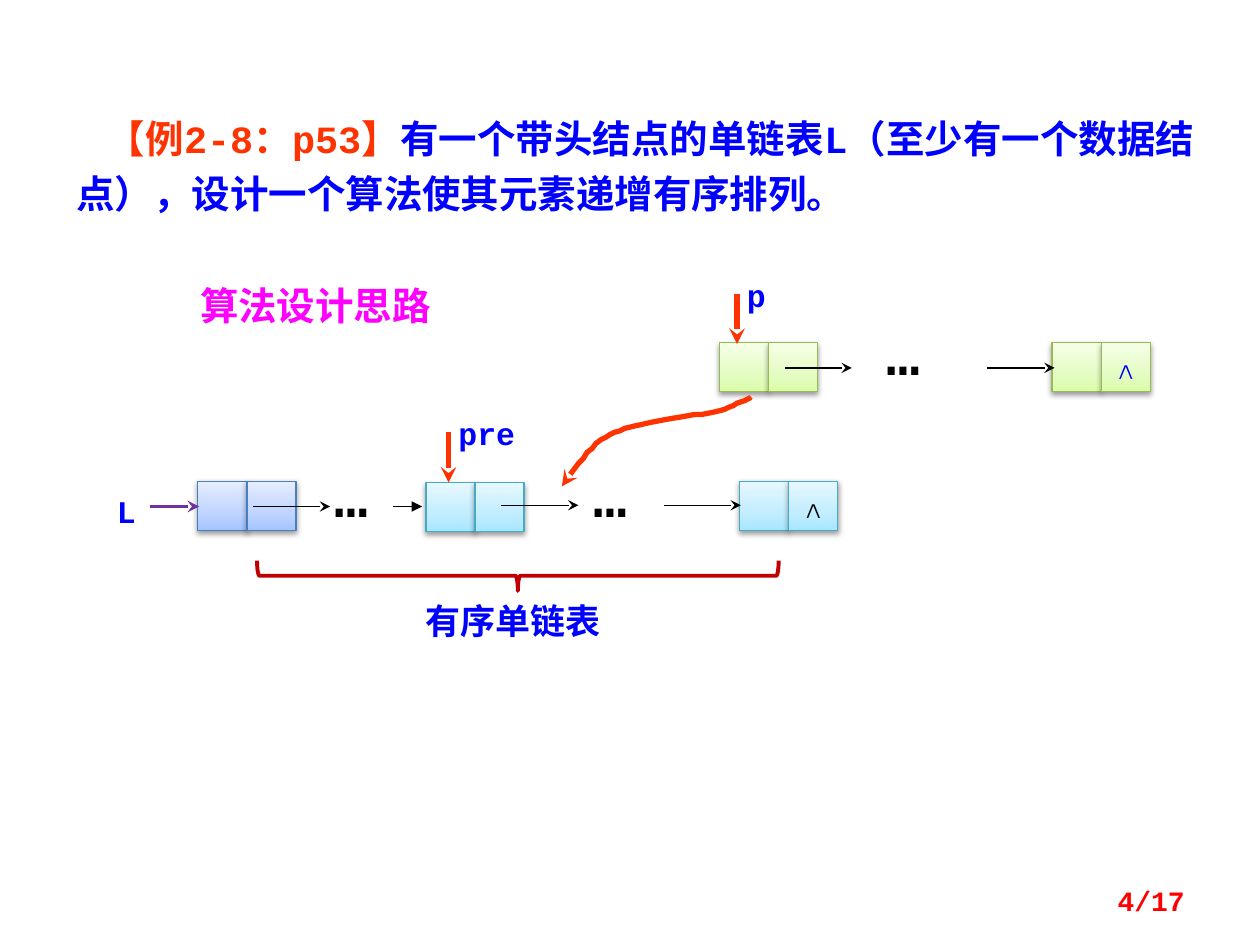
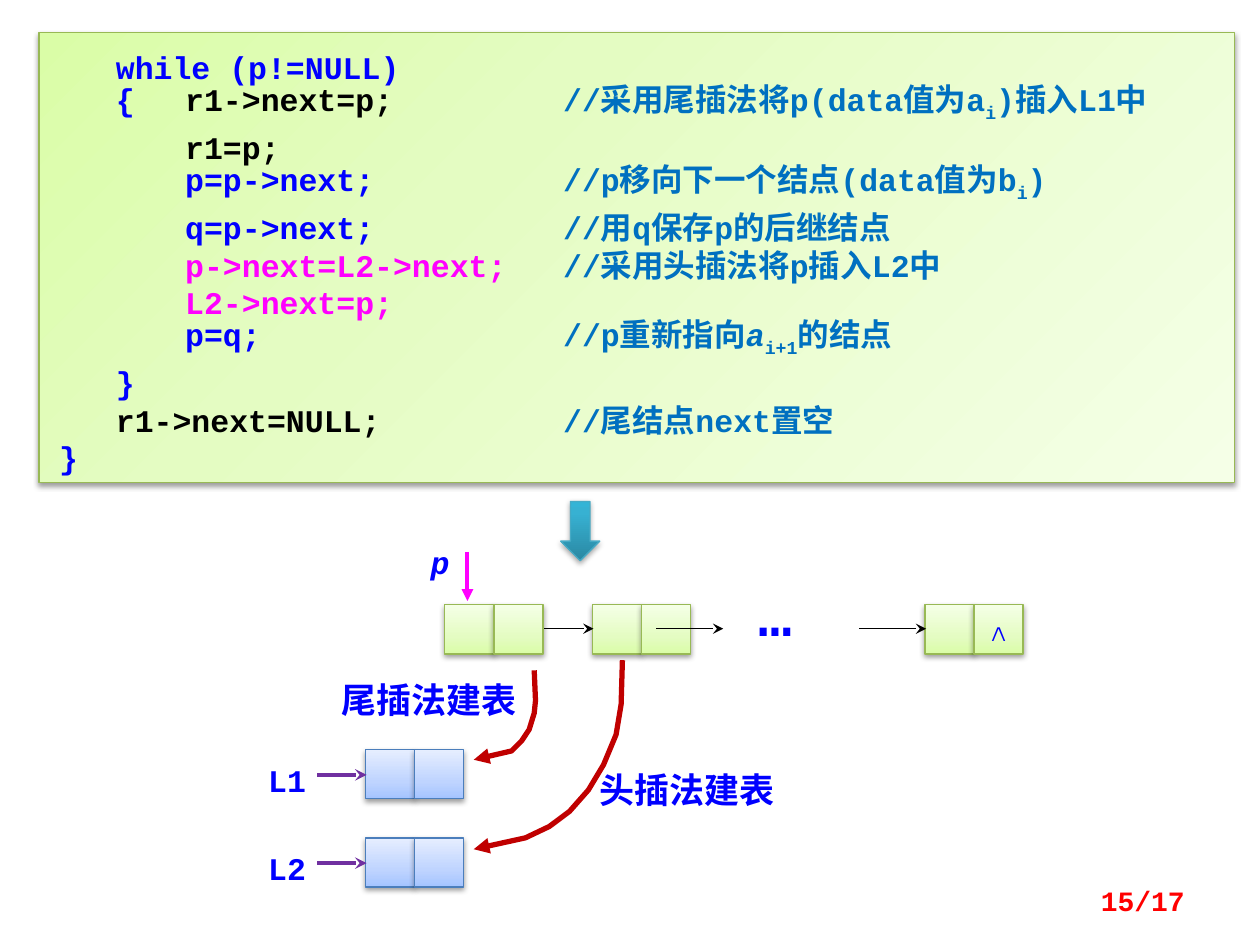
from lxml.etree import SubElement
from pptx import Presentation
from pptx.dml.color import RGBColor
from pptx.enum.shapes import MSO_CONNECTOR as CONNECTOR, MSO_SHAPE as SHAPE
from pptx.enum.text import MSO_ANCHOR as ANCHOR, PP_ALIGN as ALIGN
from pptx.oxml.ns import qn
from pptx.util import Pt

PX = 9144
CELL = 39
MONO = "Courier New"
HAN = "Noto Sans CJK SC"

BLACK = RGBColor(0x00, 0x00, 0x00)
BLUE = RGBColor(0x00, 0x00, 0xFF)
COMMENT = RGBColor(0x00, 0x70, 0xC0)
ORANGE = RGBColor(0xFF, 0x33, 0x00)
MAGENTA = RGBColor(0xFF, 0x00, 0xFF)
PURPLE = RGBColor(0x70, 0x30, 0xA0)
DARK_RED = RGBColor(0xC0, 0x00, 0x00)
RED = RGBColor(0xFF, 0x00, 0x00)
TEAL_EDGE = RGBColor(0x46, 0xAA, 0xC5)

HEAD_NODE = (RGBColor(0x4B, 0x7E, 0xBC), {0: "A4C4FF", 35: "BFD4FF", 100: "E6EEFF"})
SORTED_NODE = (TEAL_EDGE, {0: "A7E6FF", 35: "C1EDFF", 100: "E7F8FF"})
SOURCE_NODE = (RGBColor(0x98, 0xB9, 0x55), {0: "DAFDA7", 35: "E4FCC2", 100: "F5FFE7"})
STEP_ARROW = (TEAL_EDGE, {0: "2A88A2", 80: "37B1D2", 100: "34B4D6"})

CODE = [
    [("   while (p!=NULL)", BLUE)],
    [("   {\t", BLUE), ("r1->next=p;\t", BLACK), ("//采用尾插法将p(data值为a", COMMENT),
     ("i", COMMENT, "sub"), (")插入L1中", COMMENT)],
    [("\tr1=p;", BLACK)],
    [("\tp=p->next;\t", BLUE), ("//p移向下一个结点(data值为b", COMMENT),
     ("i", COMMENT, "sub"), (")", COMMENT)],
    [("\tq=p->next;\t", BLUE), ("//用q保存p的后继结点", COMMENT)],
    [("\tp->next=L2->next;\t", MAGENTA), ("//采用头插法将p插入L2中", COMMENT)],
    [("\tL2->next=p;", MAGENTA)],
    [("\tp=q;\t", BLUE), ("//p重新指向", COMMENT), ("a", COMMENT, "italic"),
     ("i+1", COMMENT, "sub"), ("的结点", COMMENT)],
    [("   }", BLUE)],
    [("   r1->next=NULL;\t", BLACK), ("//尾结点next置空", COMMENT)],
    [("}", BLUE)],
]


def box(x, y, w, h):
    return [round(v * PX) for v in (x, y, w, h)]


def write(paragraph, runs, size, align=ALIGN.LEFT, spacing=1.19, indent=0, tabs=()):
    paragraph.alignment = align
    paragraph.line_spacing = Pt(size * spacing)
    props = paragraph._p.get_or_add_pPr()
    if indent:
        props.set("indent", str(indent * PX))
    if tabs:
        stops = SubElement(props, qn("a:tabLst"))
        for stop in tabs:
            SubElement(stops, qn("a:tab"), pos=str(stop * PX), algn="l")
    font = paragraph.font
    font.name, font.size, font.bold = MONO, Pt(size), True
    SubElement(props.find(qn("a:defRPr")), qn("a:ea"), typeface=HAN)
    for text, color, *style in runs:
        run = paragraph.add_run()
        run.text = text
        run.font.color.rgb = color
        if "italic" in style:
            run.font.italic = True
        if "sub" in style:
            run._r.get_or_add_rPr().set("baseline", "-25000")


def label(slide, x, y, w, h, runs, size=18, anchor=ANCHOR.TOP, **layout):
    frame = slide.shapes.add_textbox(*box(x, y, w, h)).text_frame
    frame.word_wrap = True
    frame.vertical_anchor = anchor
    write(frame.paragraphs[0], runs, size, **layout)


def ellipsis(slide, x, y, color=BLACK):
    label(slide, x, y + 3, 79, 63, [("…", color)], 32)


def page_number(slide, number):
    label(slide, 717, 695, 233, 40, [(f"{number}/17", RED)], 16,
          anchor=ANCHOR.MIDDLE, align=ALIGN.RIGHT)


def glossy(slide, kind, x, y, w, h, palette, angle=90, opacity=38):
    edge, stops = palette
    shape = slide.shapes.add_shape(kind, *box(x, y, w, h))
    shape.fill.gradient()
    shape.fill.gradient_angle = angle
    stop_list = shape._element.spPr.find(qn("a:gradFill")).find(qn("a:gsLst"))
    stop_list.clear()
    for percent, color in stops.items():
        stop = SubElement(stop_list, qn("a:gs"), pos=str(percent * 1000))
        SubElement(stop, qn("a:srgbClr"), val=color)
    shape.line.color.rgb = edge
    shape.line.width = Pt(0.75)
    shape.shadow.inherit = False
    effects = shape._element.spPr.find(qn("a:effectLst"))
    shadow = SubElement(effects, qn("a:outerShdw"), blurRad="40000", dist="20000",
                        dir="5400000", rotWithShape="0")
    tint = SubElement(shadow, qn("a:srgbClr"), val="000000")
    SubElement(tint, qn("a:alpha"), val=str(opacity * 1000))
    return shape


def node(slide, x, y, palette, null_color=None):
    cells = [glossy(slide, SHAPE.RECTANGLE, x + i * CELL, y, CELL, CELL, palette)
             for i in range(2)]
    if null_color is not None:
        frame = cells[1].text_frame
        frame.word_wrap = False
        frame.vertical_anchor = ANCHOR.MIDDLE
        write(frame.paragraphs[0], [("∧", null_color)], 18, align=ALIGN.CENTER)


def style_line(shape, color, width, head):
    shape.line.color.rgb = color
    shape.line.width = Pt(width)
    SubElement(shape.line._get_or_add_ln(), qn("a:tailEnd"), type=head)


def arrow(slide, x1, y1, x2, y2, color=BLACK, width=0.75, head="stealth"):
    link = slide.shapes.add_connector(CONNECTOR.STRAIGHT, *box(x1, y1, x2, y2))
    style_line(link, color, width, head)
    SubElement(link._element.spPr, qn("a:effectLst"))


def path_arrow(slide, points, color, head):
    builder = slide.shapes.build_freeform(*points[0], scale=PX)
    builder.add_line_segments(points[1:], close=False)
    path = builder.convert_to_shape()
    path.fill.background()
    path.shadow.inherit = False
    style_line(path, color, 3, head)


def bezier(start, curves, steps=10):
    points = [start]
    for a, b, end in curves:
        first = points[-1]
        for i in range(1, steps + 1):
            t = i / steps
            u = 1 - t
            points.append(tuple(
                u**3 * p + 3 * u * u * t * q + 3 * u * t * t * r + t**3 * s
                for p, q, r, s in zip(first, a, b, end)))
    return points


def list_head(slide, name, name_x, x, y):
    label(slide, name_x, y + 4, 61, 40, [(name, BLUE)])
    node(slide, x, y, HEAD_NODE)
    arrow(slide, x - 38, y + 20, x + 1, y + 20, PURPLE, 2.25)


def build_idea(slide):
    label(slide, 51, 79, 907, 99,
          [("【例2-8：p53】", ORANGE),
           ("有一个带头结点的单链表L（至少有一个数据结点），设计一个算法使其元素递增有序排列。", BLUE)],
          22, align=ALIGN.JUSTIFY, spacing=1.43, indent=24)
    label(slide, 149, 219, 307, 47, [("算法设计思路", MAGENTA)], 22)

    list_head(slide, "L", 83, 157, 382)
    node(slide, 587, 382, SORTED_NODE, BLACK)
    node(slide, 338, 383, SORTED_NODE)
    node(slide, 571, 272, SOURCE_NODE)
    node(slide, 835, 272, SOURCE_NODE, BLUE)

    for x1, x2, y in ((201, 262, 402), (398, 459, 401), (527, 588, 401),
                      (623, 676, 292), (783, 837, 292)):
        arrow(slide, x1, y, x2, y)
    arrow(slide, 312, 402, 335, 402, head="triangle")
    for x, y in ((256, 359), (461, 359), (694, 246)):
        ellipsis(slide, x, y)

    for name, x, y in (("p", 585, 233), ("pre", 356, 343)):
        label(slide, x - 2, y - 19, 77, 40, [(name, BLUE)])
        arrow(slide, x, y, x, y + 40, ORANGE, 3)
    insertion = bezier((596, 315), [
        ((596, 315), (584, 322), (571, 326)),
        ((558, 329), (534, 331), (518, 335)),
        ((502, 339), (489, 341), (477, 349)),
        ((465, 358), (452, 378), (446, 386)),
    ])
    path_arrow(slide, insertion, ORANGE, "stealth")

    brace = slide.shapes.add_shape(SHAPE.RIGHT_BRACE, *box(399, 250, 24, 414))
    brace.rotation = 90
    brace.fill.background()
    brace.line.color.rgb = DARK_RED
    brace.line.width = Pt(2.25)
    brace.shadow.inherit = False
    label(slide, 306, 471, 203, 44, [("有序单链表", BLUE)], 20, align=ALIGN.CENTER)
    page_number(slide, 4)


def code_panel(slide):
    panel = glossy(slide, SHAPE.RECTANGLE, 31, 26, 949, 357, SOURCE_NODE, angle=315)
    frame = panel.text_frame
    frame.word_wrap = True
    frame.vertical_anchor = ANCHOR.TOP
    frame.margin_left = frame.margin_right = 16 * PX
    frame.margin_top = frame.margin_bottom = 12 * PX
    for i, runs in enumerate(CODE):
        line = frame.add_paragraph() if i else frame.paragraphs[0]
        if any("sub" in run[2:] for run in runs):
            line.space_after = Pt(3)
        write(line, runs, 18, tabs=(100, 400))


def build_split(slide):
    code_panel(slide)
    list_head(slide, "L1", 203, 290, 595)
    list_head(slide, "L2", 203, 290, 665)

    node(slide, 353, 480, SOURCE_NODE)
    node(slide, 470, 480, SOURCE_NODE)
    node(slide, 734, 480, SOURCE_NODE, BLUE)
    for x1, x2 in ((432, 471), (521, 574), (682, 735)):
        arrow(slide, x1, 499, x2, 499)
    ellipsis(slide, 592, 453, BLUE)

    label(slide, 332, 426, 39, 40, [("p", BLUE, "italic")])
    arrow(slide, 371, 438, 371, 477, MAGENTA, 2.25, "triangle")

    head_insert = [(494, 524), (493, 559), (489, 583), (479, 607), (467, 627),
                   (452, 644), (436, 656), (417, 665), (376, 674)]
    tail_insert = [(424, 532), (425, 556), (424, 566), (420, 579), (414, 588),
                   (406, 596), (376, 603)]
    for route in (head_insert, tail_insert):
        path_arrow(slide, route, DARK_RED, "triangle")
    label(slide, 466, 605, 205, 43, [("头插法建表", BLUE)], 20)
    label(slide, 261, 534, 205, 43, [("尾插法建表", BLUE)], 20)
    glossy(slide, SHAPE.DOWN_ARROW, 445, 398, 31, 47, STEP_ARROW, opacity=35)
    page_number(slide, 15)


def main():
    deck = Presentation()
    deck.slide_width, deck.slide_height = 1000 * PX, 750 * PX
    for build in (build_idea, build_split):
        build(deck.slides.add_slide(deck.slide_layouts[6]))
    deck.save("out.pptx")


if __name__ == "__main__":
    main()
